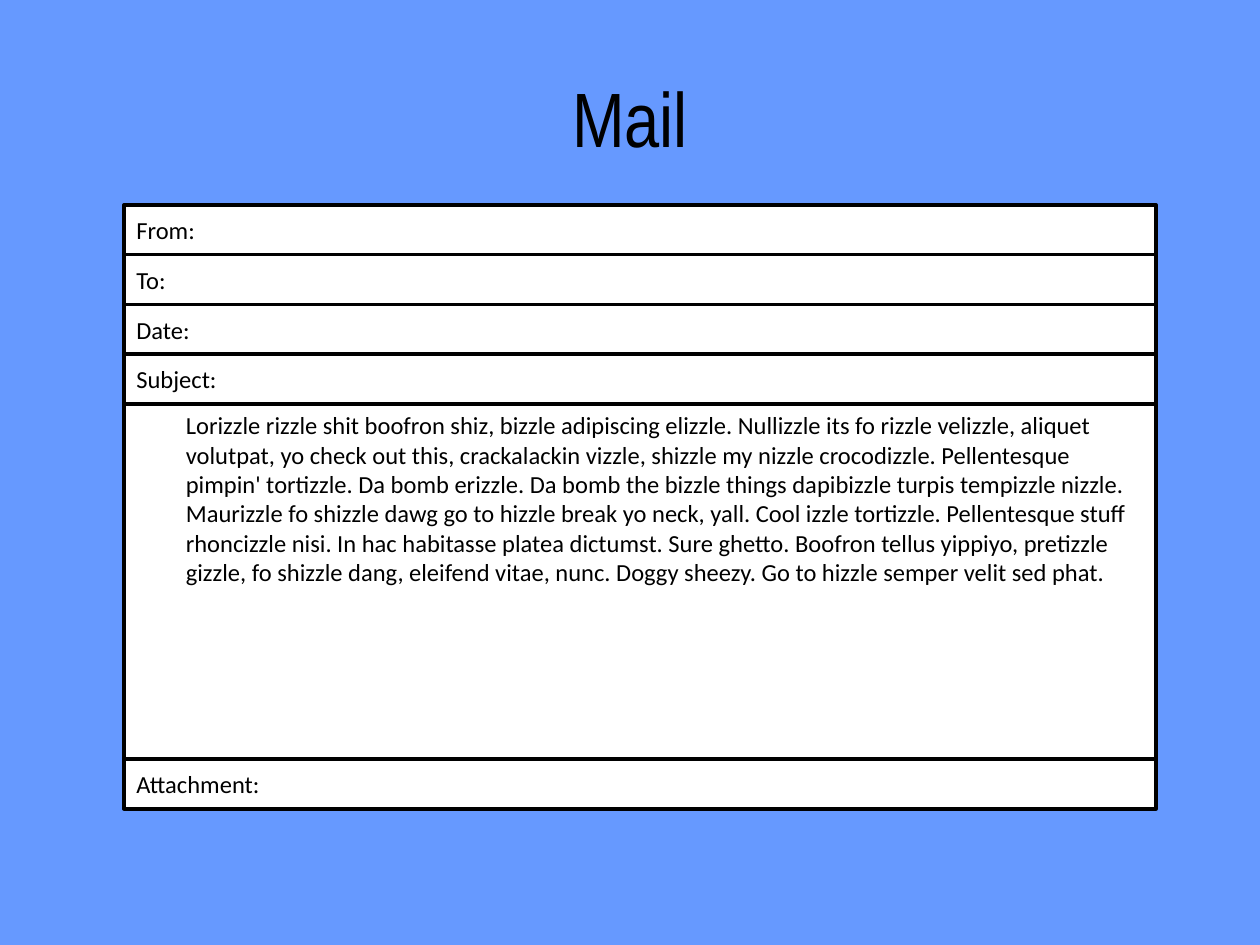
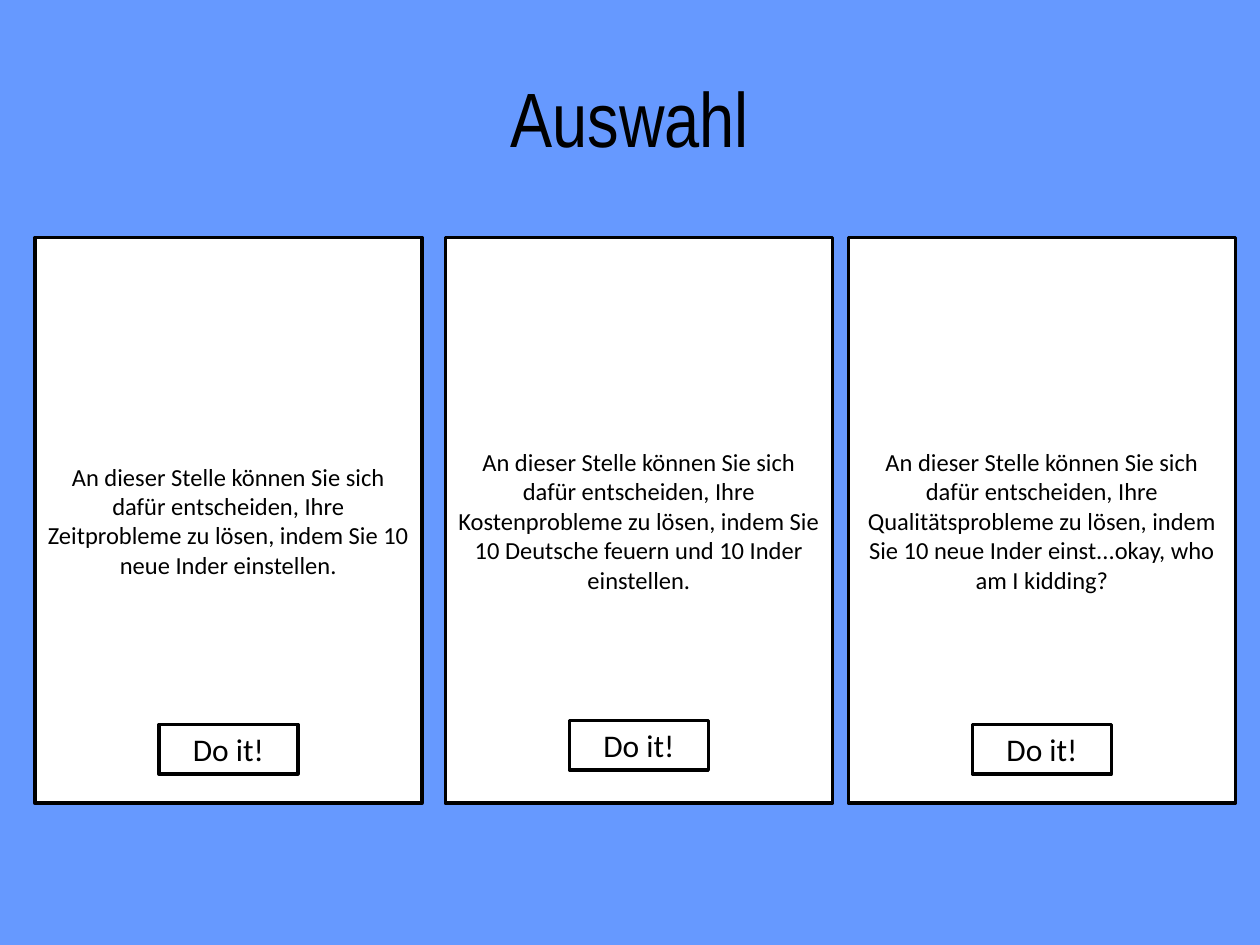
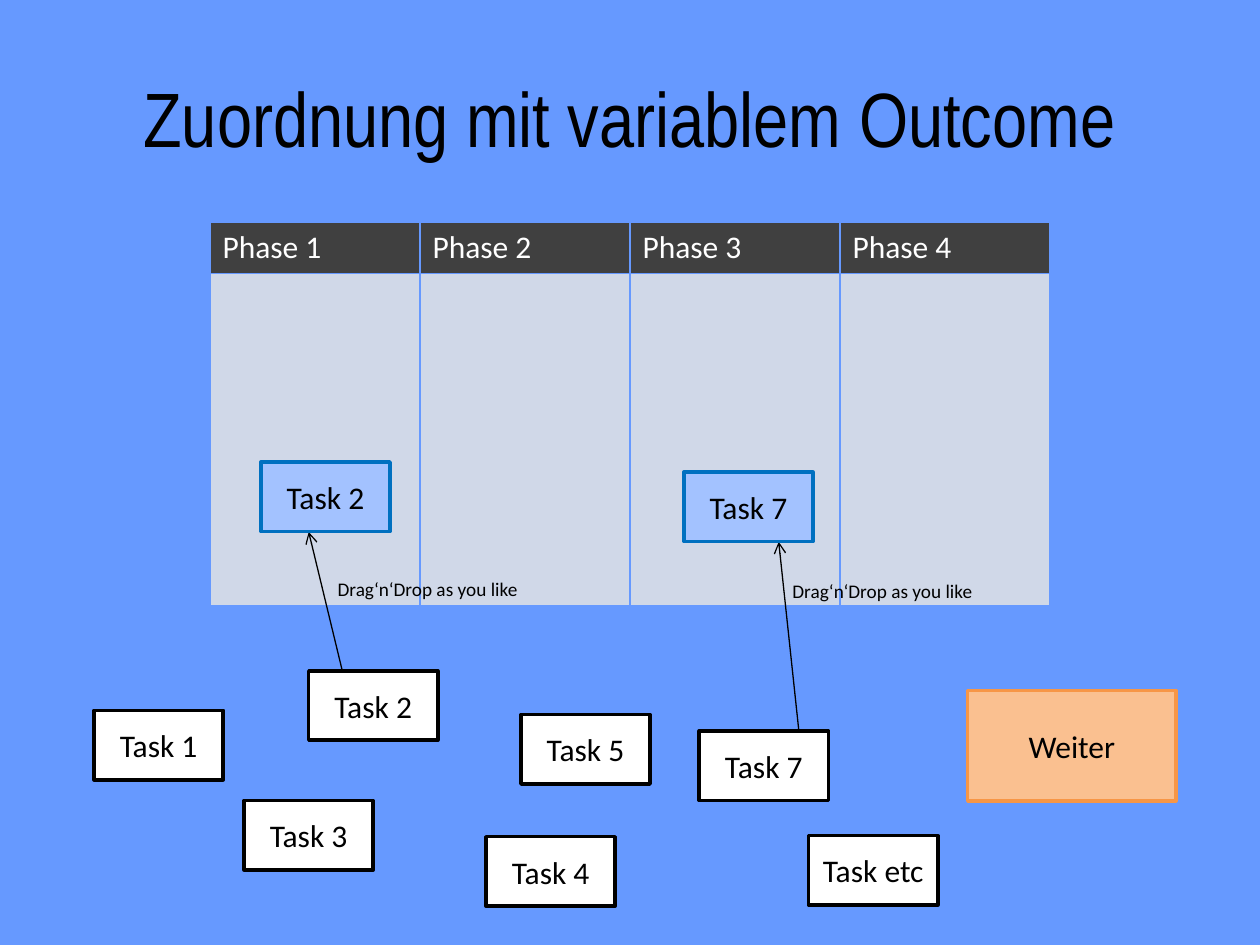
import pptx
import pptx.util
import pptx.dml.color
import pptx.enum.shapes
import pptx.enum.text
from lxml import etree
from pptx.oxml.ns import qn

Pt = pptx.util.Pt
ALIGN = pptx.enum.text.PP_ALIGN
ANCHOR = pptx.enum.text.MSO_ANCHOR
SIZING = pptx.enum.text.MSO_AUTO_SIZE

BLUE, BLACK, WHITE = "6699FF", "000000", "FFFFFF"
DARK, PALE = "404040", "D0D8E8"


def color(code):
    return pptx.dml.color.RGBColor.from_string(code)


def fill(part, code):
    part.fill.solid()
    part.fill.fore_color.rgb = color(code)


def apply(target, form):
    for name, value in form.items():
        setattr(target, name, value)


class Deck:
    font = "Calibri"

    def __init__(self):
        self.prs = pptx.Presentation()
        apply(self.prs, {"slide_width": Pt(720), "slide_height": Pt(540)})
        fill(self.prs.slide_master.background, BLUE)
        self.page = None

    def slide(self, title):
        self.page = self.prs.slides.add_slide(self.prs.slide_layouts[5])
        head = self.page.shapes.title
        apply(head, {"left": Pt(36), "top": Pt(21.6),
                     "width": Pt(648), "height": Pt(90)})
        head.text_frame.auto_size = SIZING.NONE
        self.text(head.text_frame, title, 44, ALIGN.CENTER, name="Arial Narrow")

    def text(self, frame, words, size, align=ALIGN.LEFT, anchor=ANCHOR.MIDDLE,
             ink=BLACK, **form):
        apply(frame, {"word_wrap": True, "vertical_anchor": anchor})
        para = frame.paragraphs[0]
        para.alignment = align
        run = para.add_run()
        run.text = words
        base = {"name": self.font, "size": Pt(size), "bold": False}
        apply(run.font, base | form)
        run.font.color.rgb = color(ink)
        return para

    def box(self, words, left, top, width, height, size=18, align=ALIGN.CENTER,
            anchor=ANCHOR.MIDDLE, back=WHITE, edge=BLACK, indent=0):
        kind = pptx.enum.shapes.MSO_SHAPE.RECTANGLE
        item = self.page.shapes.add_shape(
            kind, Pt(left), Pt(top), Pt(width), Pt(height))
        item.shadow.inherit = False
        fill(item, back)
        item.line.color.rgb = color(edge)
        item.line.width = Pt(2)
        para = self.text(item.text_frame, words, size, align, anchor)
        if indent:
            props = para._p.get_or_add_pPr()
            props.set("marL", str(Pt(indent)))
            props.set("indent", "0")

    def note(self, words, left, top, width, height):
        item = self.page.shapes.add_textbox(
            Pt(left), Pt(top), Pt(width), Pt(height))
        self.text(item.text_frame, words, 11, anchor=ANCHOR.TOP)

    def arrow(self, *ends):
        kind = pptx.enum.shapes.MSO_CONNECTOR.STRAIGHT
        item = self.page.shapes.add_connector(kind, *map(Pt, ends))
        item.line.color.rgb = color(BLACK)
        item.line.width = Pt(0.75)
        props = item._element.spPr
        etree.SubElement(props.find(qn("a:ln")), qn("a:tailEnd"), type="arrow")
        etree.SubElement(props, qn("a:effectLst"))

    def table(self, heads, left, top, width, rows):
        grid = self.page.shapes.add_table(
            len(rows), len(heads), Pt(left), Pt(top), Pt(width), Pt(sum(rows))).table
        for row, size in zip(grid.rows, rows):
            row.height = Pt(size)
        for col, words in enumerate(heads):
            grid.columns[col].width = Pt(width / len(heads))
            cell = grid.cell(0, col)
            self.text(cell.text_frame, words, 18, ink=WHITE)
            cell.vertical_anchor = ANCHOR.TOP
            for row, back in enumerate((DARK, PALE)):
                self.paint(grid.cell(row, col), back)

    def paint(self, cell, back):
        props = cell._tc.get_or_add_tcPr()
        for side in ("lnL", "lnR", "lnT", "lnB"):
            line = etree.SubElement(props, qn("a:" + side), w=str(Pt(1)))
            solid = etree.SubElement(line, qn("a:solidFill"))
            etree.SubElement(solid, qn("a:srgbClr"), val=BLUE)
        fill(cell, back)


BODY = (
    "Lorizzle rizzle shit boofron shiz, bizzle adipiscing elizzle. Nullizzle its "
    "fo rizzle velizzle, aliquet volutpat, yo check out this, crackalackin vizzle, "
    "shizzle my nizzle crocodizzle. Pellentesque pimpin' tortizzle. Da bomb "
    "erizzle. Da bomb the bizzle things dapibizzle turpis tempizzle nizzle. "
    "Maurizzle fo shizzle dawg go to hizzle break yo neck, yall. Cool izzle "
    "tortizzle. Pellentesque stuff rhoncizzle nisi. In hac habitasse platea "
    "dictumst. Sure ghetto. Boofron tellus yippiyo, pretizzle gizzle, fo shizzle "
    "dang, eleifend vitae, nunc. Doggy sheezy. Go to hizzle semper velit sed phat.")


def mail(deck):
    deck.slide("Mail")
    left, top, width, step = 70.8, 117.2, 589.8, 28.4
    tall = 203
    # Form fields stacked from the top, with the message before the last
    for words in ("From:", "To:", "Date:", "Subject:", BODY, "Attachment:"):
        if words == BODY:
            deck.box(words, left, top, width, tall, 14, ALIGN.LEFT, ANCHOR.TOP,
                     indent=28.3)
            top += tall
        else:
            deck.box(words, left, top, width, step, 14, ALIGN.LEFT)
            top += step


def choice(deck):
    deck.slide("Auswahl")
    lead = "An dieser Stelle können Sie sich dafür entscheiden, Ihre "
    cards = (
        (19.9, 414, "Zeitprobleme zu lösen, indem Sie 10 neue Inder einstellen."),
        (254.5, 411.7, "Kostenprobleme zu lösen, indem Sie 10 Deutsche feuern "
                       "und 10 Inder einstellen."),
        (484.8, 414, "Qualitätsprobleme zu lösen, indem Sie 10 neue Inder "
                     "einst...okay, who am I kidding?"))
    width, push = 221.2, 79.4
    # Cards with a centred button each
    for left, low, words in cards:
        deck.box(lead + words, left, 135.8, width, 323.2, 14)
        deck.box("Do it!", left + (width - push) / 2, low, push, 28.3)


def tasks(deck):
    deck.slide("Zuordnung mit variablem Outcome")
    # Phases
    deck.table([f"Phase {num}" for num in range(1, 5)], 120, 127, 480, (29.2, 190.1))
    # Open tasks
    size = (73.8, 39.7)
    for name, left, top in (
            ("1", 53.8, 405.9), ("3", 139.5, 457.4), ("2", 176.4, 383.3),
            ("4", 277.8, 478.1), ("5", 297.7, 408.3), ("7", 399.6, 417.7),
            ("etc", 462.1, 477.5)):
        deck.box(f"Task {name}", left, top, *size)
    # Tasks dropped into a phase
    for name, spot, ends, hint in (
            ("2", (149.1, 264), (195.6, 383.3, 176.4, 304), (185.8, 326.2)),
            ("7", (390.8, 269.8), (456.5, 417.7, 445, 309.6), (445.7, 327.6))):
        deck.arrow(*ends)
        deck.box(f"Task {name}", *spot, *size, back="A3C2FF", edge="0070C0")
        deck.note("Drag‘n‘Drop as you like", *hint, 128.9, 20.6)
    # Next button
    deck.box("Weiter", 553, 394.6, 119, 63, back="FAC090", edge="F79646")


def main():
    deck = Deck()
    for build in (mail, choice, tasks):
        build(deck)
    deck.prs.save("out.pptx")


if __name__ == "__main__":
    main()
